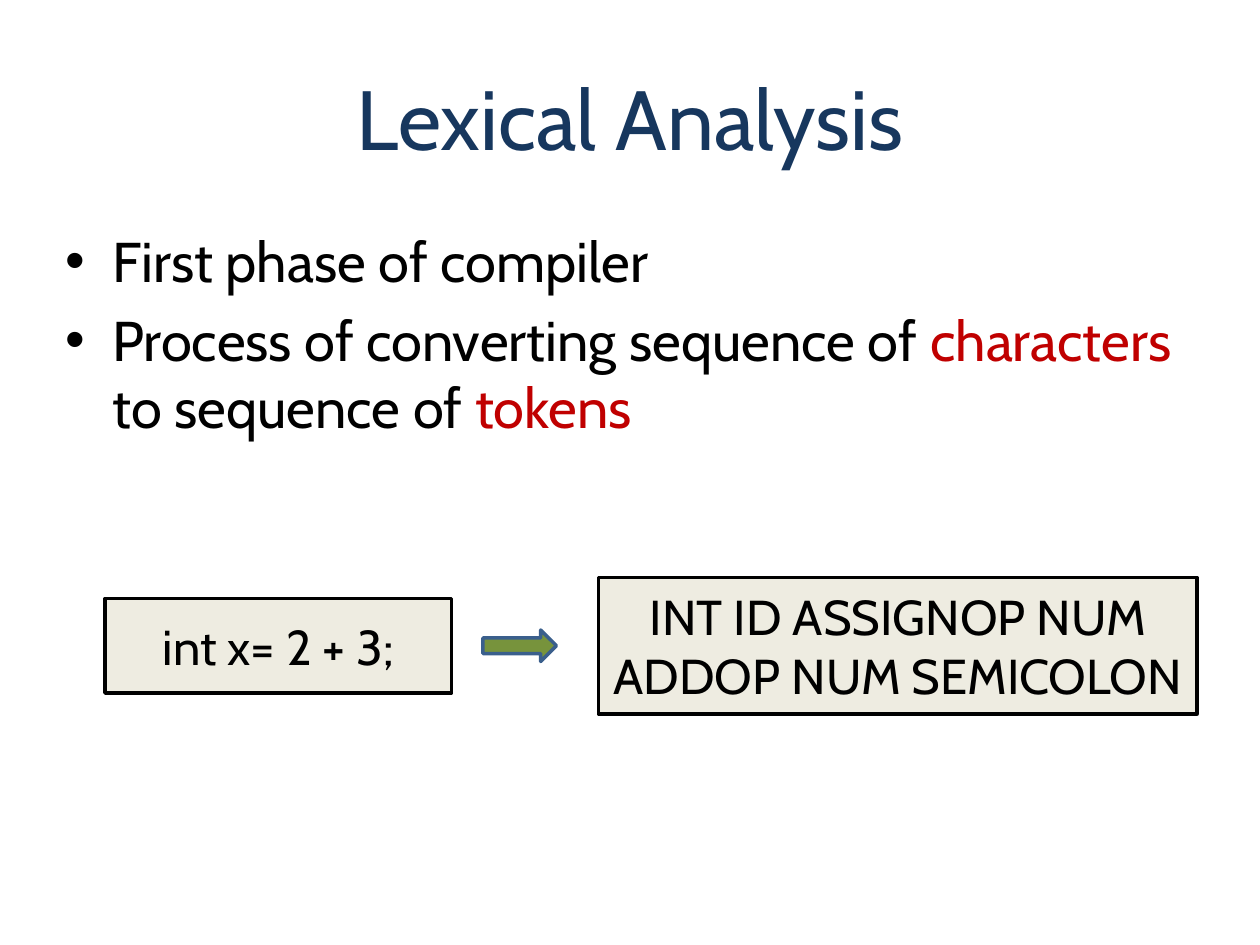
from pptx import Presentation
from pptx.dml.color import RGBColor
from pptx.enum.shapes import MSO_SHAPE
from pptx.enum.text import MSO_ANCHOR, PP_ALIGN
from pptx.util import Pt

PX = 7620
RECT, ARROW = MSO_SHAPE.RECTANGLE, MSO_SHAPE.RIGHT_ARROW
MIDDLE, CENTER = MSO_ANCHOR.MIDDLE, PP_ALIGN.CENTER
BLACK, NAVY, RED = "000000", "17375E", "C00000"
CREAM, GREEN, BLUE = "EEECE1", "77933C", "3A5F8C"
TITLE = {"name": "Cabin", "size": Pt(48)}
BODY = {"name": "Cabin", "size": Pt(32)}
CODE = {"name": "Cabin", "size": Pt(28)}
BULLETS = [
    [("First phase of compiler", BLACK)],
    [("Process of converting sequence of ", BLACK), ("characters", RED),
     (" to sequence of ", BLACK), ("tokens", RED)],
]


def rgb(value):
    return RGBColor.from_string(value)


def place(sp, box):
    for name, value in zip(("left", "top", "width", "height"), box):
        setattr(sp, name, value * PX)


def add_run(p, text, fmt, color):
    r = p.add_run()
    r.text = text
    for name, value in fmt.items():
        setattr(r.font, name, value)
    r.font.color.rgb = rgb(color)


def centre_text(sp, text, fmt, color):
    tf = sp.text_frame
    tf.word_wrap = True
    tf.vertical_anchor = MIDDLE
    p = tf.paragraphs[0]
    p.alignment = CENTER
    add_run(p, text, fmt, color)


def add_block(s, kind, box, fill, line):
    sp = s.shapes.add_shape(kind, *(v * PX for v in box))
    sp.shadow.inherit = False
    sp.fill.solid()
    sp.fill.fore_color.rgb = rgb(fill)
    sp.line.color.rgb = rgb(line)
    sp.line.width = Pt(2)
    return sp


def add_title(s, box):
    sp = s.shapes.title
    place(sp, box)
    centre_text(sp, "Lexical Analysis", TITLE, NAVY)


def add_body(s, box):
    sp = s.placeholders[1]
    place(sp, box)
    tf = sp.text_frame
    for i, runs in enumerate(BULLETS):
        p = tf.add_paragraph() if i else tf.paragraphs[0]
        for text, color in runs:
            add_run(p, text, BODY, color)


def add_flow(s, box):
    left, top, width, height = box

    def centred(x, w, h):
        return left + x, top + (height - h) // 2, w, h

    source = add_block(s, RECT, centred(0, 330, 90), CREAM, BLACK)
    centre_text(source, "int x= 2 + 3;", CODE, BLACK)
    tokens = add_block(s, RECT, centred(width - 570, 570, height), CREAM, BLACK)
    centre_text(tokens, "INT ID ASSIGNOP NUM ADDOP NUM SEMICOLON", CODE, BLACK)
    add_block(s, ARROW, centred(360, 70, 30), GREEN, BLUE)


def main():
    prs = Presentation()
    prs.slide_width, prs.slide_height = 1200 * PX, 900 * PX
    s = prs.slides.add_slide(prs.slide_layouts[1])
    add_title(s, (60, 36, 1080, 150))
    add_body(s, (50, 210, 1100, 594))
    add_flow(s, (100, 550, 1040, 130))
    prs.save("out.pptx")


if __name__ == "__main__":
    main()
